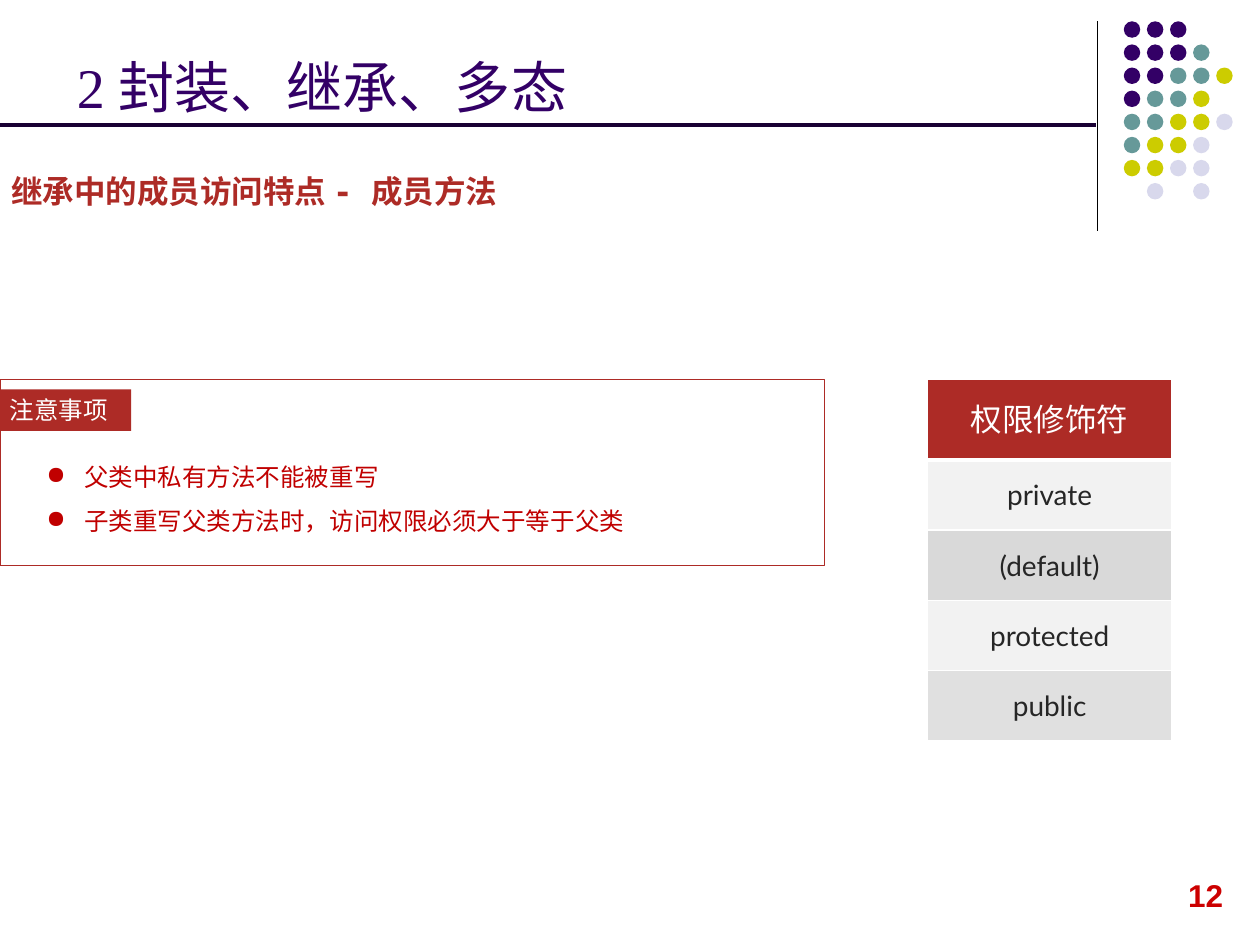
from dataclasses import dataclass

from lxml.etree import SubElement as Sub
from pptx import Presentation
from pptx.dml.color import RGBColor as Rgb
from pptx.enum.shapes import MSO_CONNECTOR as Connector, MSO_SHAPE as Shape
from pptx.enum.text import MSO_ANCHOR as Anchor, MSO_AUTO_SIZE as AutoSize, PP_ALIGN as Align
from pptx.oxml.ns import qn
from pptx.util import Pt


@dataclass(frozen=True)
class Theme:
    """Colours, fonts and type sizes."""
    purple: str = "330066"
    rule: str = "190033"
    teal: str = "669999"
    lime: str = "CCCC00"
    lilac: str = "D8D8EC"
    red: str = "AD2B26"
    note: str = "C00000"
    number: str = "CC0000"
    black: str = "000000"
    ink: str = "262626"
    white: str = "FFFFFF"
    light: str = "F2F2F2"
    grey: str = "D9D9D9"
    serif: str = "Times New Roman"
    sans: str = "Lato"
    mono: str = "DejaVu Sans Mono"
    arial: str = "Arial"
    title: int = 32
    heading: int = 18
    cell: int = 16
    body: int = 14


def apply(target, formats):
    """Set each attribute named in formats on the target."""
    for name, value in formats.items():
        setattr(target, name, value)


class Painter:
    """Holds the style and the current slide, and draws each kind of element."""

    def __init__(self, page, theme):
        """Keep the page and the theme."""
        self.page, self.theme = page, theme

    def span(self, para, text, font, size, colour, bold=False, **formats):
        """Fill a paragraph with one styled span."""
        apply(para, formats)
        span = para.add_run()
        span.text = text
        apply(span.font, {"name": font, "size": Pt(size), "bold": bold})
        span.font.color.rgb = Rgb.from_string(colour)

    def title(self, place, text):
        """Move the title placeholder and fill it."""
        box = self.page.shapes.title
        apply(box, dict(zip(("left", "top", "width", "height"), map(Pt, place))))
        apply(box.text_frame, {"vertical_anchor": Anchor.BOTTOM, "auto_size": AutoSize.NONE})
        self.span(box.text_frame.paragraphs[0], text, self.theme.serif, self.theme.title,
                  self.theme.purple, alignment=Align.LEFT)

    def text(self, place, lines, font, size, colour, bold=False, bullet=None,
             anchor=Anchor.TOP, wrap=True, **formats):
        """Add a text box with one paragraph a line."""
        frame = self.page.shapes.add_textbox(*map(Pt, place)).text_frame
        apply(frame, {"word_wrap": wrap, "vertical_anchor": anchor})
        for index, line in enumerate(lines):
            para = frame.add_paragraph() if index else frame.paragraphs[0]
            if bullet:
                props = para._p.get_or_add_pPr()
                for name, value in {"marL": Pt(21.6), "indent": -Pt(21.6)}.items():
                    props.set(name, str(value))
                Sub(props, qn("a:buChar"), char=bullet)
            self.span(para, line, font, size, colour, bold, **formats)

    def shape(self, kind, place, fill=None, line=None):
        """Add a preset shape and return it."""
        shape = self.page.shapes.add_shape(kind, *map(Pt, place))
        shape.shadow.inherit = False
        for part, colour in ((shape.fill, fill), (shape.line.fill, line)):
            if colour:
                part.solid()
                part.fore_color.rgb = Rgb.from_string(colour)
            else:
                part.background()
        if line:
            shape.line.width = Pt(0.75)
        return shape

    def tag(self, place, text):
        """Add a filled label."""
        frame = self.shape(Shape.RECTANGLE, place, self.theme.red).text_frame
        frame.vertical_anchor = Anchor.MIDDLE
        self.span(frame.paragraphs[0], text, self.theme.sans, self.theme.body,
                  self.theme.white, alignment=Align.CENTER)

    def line(self, ends, colour, width):
        """Add a straight line."""
        line = self.page.shapes.add_connector(Connector.STRAIGHT, *map(Pt, ends))
        line.line.color.rgb = Rgb.from_string(colour)
        line.line.width = Pt(width)
        Sub(line._element.spPr, qn("a:effectLst"))

    def dots(self, left, top, pitch, size, rows):
        """Add a grid of dots, one letter a dot."""
        theme = self.theme
        colours = {"P": theme.purple, "T": theme.teal, "Y": theme.lime, "L": theme.lilac}
        for row, letters in enumerate(rows):
            for column, letter in enumerate(letters):
                if letter in colours:
                    place = (left + column * pitch, top + row * pitch, size, size)
                    self.shape(Shape.OVAL, place, colours[letter])

    def border(self, cell, widths):
        """Give a cell white borders of the given widths."""
        props = cell._tc.get_or_add_tcPr()
        for side, width in widths.items():
            edge = Sub(props, qn("a:ln" + side), w=str(Pt(width)))
            Sub(Sub(edge, qn("a:solidFill")), qn("a:srgbClr"), val=self.theme.white)

    def table(self, place, texts, fills, head_height, row_height):
        """Add a one-column table with a header row."""
        theme = self.theme
        table = self.page.shapes.add_table(len(texts), 1, *map(Pt, place)).table
        apply(table, {"first_row": False, "horz_banding": False})
        for index, (text, fill) in enumerate(zip(texts, fills)):
            head = index == 0
            table.rows[index].height = Pt(head_height if head else row_height)
            cell = table.cell(index, 0)
            cell.vertical_anchor = Anchor.MIDDLE
            self.border(cell, {"L": 1, "R": 1, "T": 3 if index == 1 else 1, "B": 3 if head else 1})
            cell.fill.solid()
            cell.fill.fore_color.rgb = Rgb.from_string(fill)
            size, colour = (theme.heading, theme.white) if head else (theme.cell, theme.ink)
            self.span(cell.text_frame.paragraphs[0], text, theme.sans, size, colour,
                      alignment=Align.CENTER, line_spacing=Pt(24) if head else None)
        tint = cell._tc.tcPr.find(qn("a:solidFill")).find(qn("a:srgbClr"))
        Sub(tint, qn("a:alpha"), val="80000")


def main():
    """Build the slide and save it."""
    theme = Theme()
    deck = Presentation()
    apply(deck, {"slide_width": Pt(720), "slide_height": Pt(540)})
    painter = Painter(deck.slides.add_slide(deck.slide_layouts[5]), theme)

    painter.line((627, 12.2, 627, 132), theme.black, 0.75)
    painter.dots(642.2, 12.2, 13.2, 9.4,
                 ("PPP", "PPPT", "PPTTY", "PTTY", "TTYYL", "TYYL", "YYLL", " L L"))
    painter.text((671.8, 497, 34.6, 28.8), ["12"], theme.arial, theme.heading,
                 theme.number, bold=True, wrap=False)
    painter.title((36.7, 15.1, 594, 56.9), "2 封装、继承、多态")
    painter.line((0, 71.3, 626.4, 71.3), theme.rule, 2.25)
    painter.text((19.4, 252, 452.2, 55.4),
                 ["父类中私有方法不能被重写", "子类重写父类方法时，访问权限必须大于等于父类"],
                 theme.mono, theme.body, theme.note, bullet="●", line_spacing=1.5)
    painter.shape(Shape.RECTANGLE, (0, 216.7, 471, 106.5), line=theme.red)
    painter.tag((-7.9, 222.5, 82.8, 23.8), "注意事项")
    painter.table((530, 216.7, 139.7, 206.6),
                  ("权限修饰符", "private", "(default)", "protected", "public"),
                  (theme.red, theme.light, theme.grey, theme.light, theme.grey), 46.2, 40.1)
    painter.text((-0.7, 88.6, 587.5, 41), ["继承中的成员访问特点 - 成员方法"], theme.mono,
                 theme.heading, theme.red, bold=True, anchor=Anchor.MIDDLE)
    deck.save("out.pptx")


if __name__ == "__main__":
    main()
